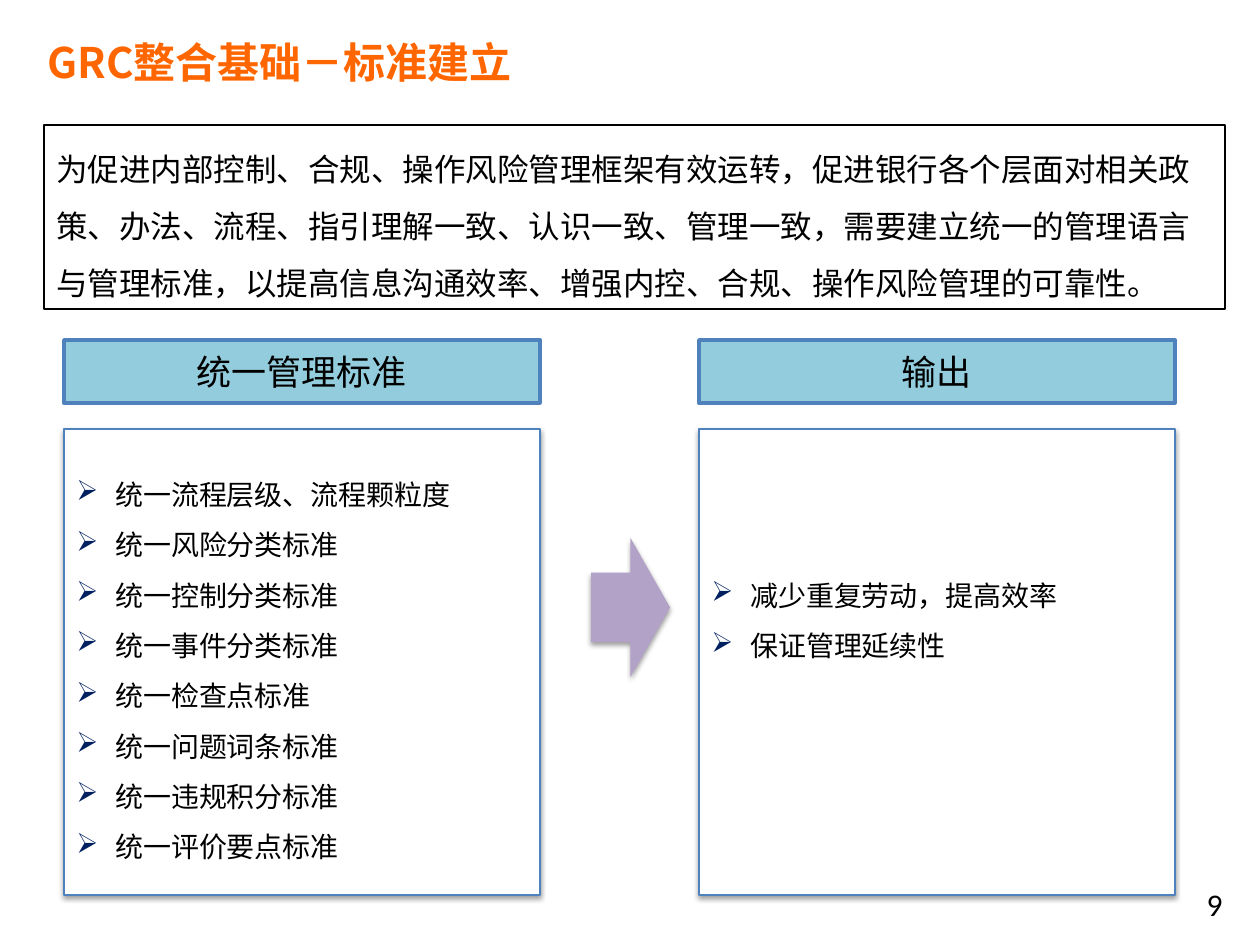
from dataclasses import dataclass, field

from lxml.etree import SubElement
from pptx import Presentation
from pptx.dml.color import RGBColor
from pptx.enum.shapes import MSO_SHAPE
from pptx.enum.text import MSO_ANCHOR, PP_ALIGN
from pptx.oxml.ns import qn
from pptx.slide import Slide
from pptx.util import Emu, Pt

COLORS = {
    "title": "FF6600", "text": "000000", "header": "93CDDD", "border": "4F81BD",
    "panel": "FFFFFF", "arrow": "B3A2C7", "bullet": "002060", "shadow": "000000",
}
PX = 914400 / 126
INTRO = (
    "为促进内部控制、合规、操作风险管理框架有效运转，促进银行各个层面对相关政策、办法、流程、指引理解一致、"
    "认识一致、管理一致，需要建立统一的管理语言与管理标准，以提高信息沟通效率、增强内控、合规、操作风险管理的可靠性。"
)
COLUMNS = [
    (64, "统一管理标准", 6, [
        "统一流程层级、流程颗粒度", "统一风险分类标准", "统一控制分类标准", "统一事件分类标准",
        "统一检查点标准", "统一问题词条标准", "统一违规积分标准", "统一评价要点标准",
    ]),
    (699, "输出", 106, ["减少重复劳动，提高效率", "保证管理延续性"]),
]


def px(n):
    return Emu(round(n * PX))


def rgb(name):
    return RGBColor.from_string(COLORS[name])


@dataclass
class Deck:
    """Draws styled elements on the current slide."""

    s: Slide
    font: str = "Noto Sans CJK SC"
    colors: dict = field(default_factory=lambda: COLORS)

    def fill_text(self, sp, lines, size, color="text", bold=False, font=None,
                  align=PP_ALIGN.LEFT, anchor=MSO_ANCHOR.TOP, spacing=None, bullet=None):
        tf = sp.text_frame
        tf.word_wrap = True
        tf.vertical_anchor = anchor
        tf.text = "\n".join(lines)
        for p in tf.paragraphs:
            p.alignment = align
            if spacing:
                p.line_spacing = spacing
            if bullet:
                self.bullet(p, bullet)
            for r in p.runs:
                r.font.size = Pt(size)
                r.font.bold = bold
                r.font.color.rgb = rgb(color)
                r.font.name = font or self.font
                SubElement(r.font._element, qn("a:ea"), typeface=self.font)

    def bullet(self, p, char):
        pPr = p._p.get_or_add_pPr()
        pPr.set("marL", str(px(39)))
        pPr.set("indent", str(-px(39)))
        clr = SubElement(pPr, qn("a:buClr"))
        SubElement(clr, qn("a:srgbClr"), val=self.colors["bullet"])
        SubElement(pPr, qn("a:buChar"), char=char)

    def text(self, box, line, size, **style):
        sp = self.s.shapes.add_textbox(*map(px, box))
        self.fill_text(sp, [line], size, **style)

    def shape(self, kind, box, fill=None, line=None, width=1, shadow=False):
        sp = self.s.shapes.add_shape(kind, *map(px, box))
        sp.shadow.inherit = False
        if fill:
            sp.fill.solid()
            sp.fill.fore_color.rgb = rgb(fill)
        else:
            sp.fill.background()
        if line:
            sp.line.color.rgb = rgb(line)
            sp.line.width = Pt(width)
        else:
            sp.line.fill.background()
        if shadow:
            self.drop_shadow(sp)
        return sp

    def drop_shadow(self, sp):
        effects = sp._element.spPr.find(qn("a:effectLst"))
        outer = SubElement(effects, qn("a:outerShdw"), blurRad=str(Pt(3.1)),
                           dist=str(Pt(1.6)), dir="5400000", rotWithShape="0")
        clr = SubElement(outer, qn("a:srgbClr"), val=self.colors["shadow"])
        SubElement(clr, qn("a:alpha"), val="38000")

    def column(self, left, heading, bottom, items):
        head = self.shape(MSO_SHAPE.RECTANGLE, (left, 340, 476, 63), "header", "border", 2)
        self.fill_text(head, [heading], 20, align=PP_ALIGN.CENTER, anchor=MSO_ANCHOR.MIDDLE)
        panel = self.shape(MSO_SHAPE.RECTANGLE, (left, 429, 476, 466), "panel", "border", 0.75, True)
        panel.text_frame.margin_bottom = px(bottom)
        self.fill_text(panel, items, 16, anchor=MSO_ANCHOR.MIDDLE, spacing=1.5, bullet="➢")


def main():
    prs = Presentation()
    prs.slide_width, prs.slide_height = px(1260), px(945)
    deck = Deck(prs.slides.add_slide(prs.slide_layouts[6]))
    deck.text((35, 30, 635, 68), "GRC整合基础－标准建立", 24, color="title", bold=True)
    deck.text((941, 879, 294, 66), "9", 18, font="Calibri", align=PP_ALIGN.RIGHT)
    intro = deck.shape(MSO_SHAPE.RECTANGLE, (44, 125, 1181, 184), line="text")
    deck.fill_text(intro, [INTRO], 18, spacing=1.5)
    for column in COLUMNS:
        deck.column(*column)
    deck.shape(MSO_SHAPE.RIGHT_ARROW, (591, 538, 79, 139), "arrow", shadow=True)
    prs.save("out.pptx")


if __name__ == "__main__":
    main()
